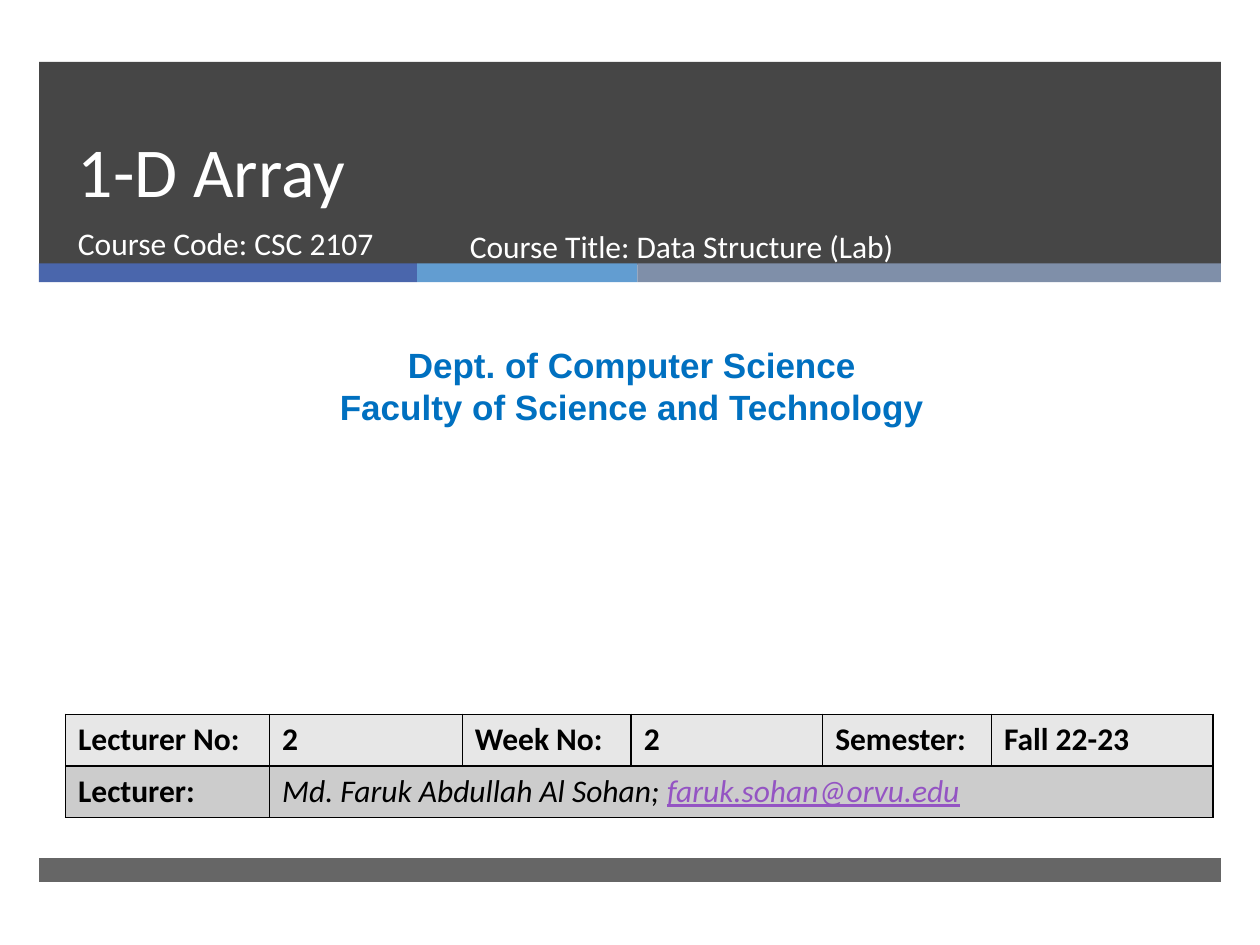
import pptx
import pptx.util
import pptx.dml.color
import pptx.enum.shapes
import pptx.enum.text
import pptx.oxml
import pptx.oxml.ns

Inches, Pt = pptx.util.Inches, pptx.util.Pt
ALIGN = pptx.enum.text.PP_ALIGN
ANCHOR = pptx.enum.text.MSO_ANCHOR

# Content
HUES = {"dark": "262626", "blue": "4A66AC", "sky": "629DD1", "slate": "7F8FA9",
        "white": "FFFFFF", "dept": "0070C0", "black": "000000",
        "light": "E7E7E7", "gray": "CCCCCC", "mail": "9454C3"}
LEFT, WIDE = 0.31, 9.38
BANDS = [(0.49, 1.61, 85), (6.81, 0.19, 70)]  # top, height, opacity
STRIPS = [(3, "blue"), (1.75, "sky"), (4.63, "slate")]
PLAIN = {"name": "Calibri", "size": Pt(18)}
TITLE = {"name": "Calibri", "size": Pt(40)}
DEPT = {"name": "Arial", "size": Pt(20), "bold": True}
BOLD = {**PLAIN, "bold": True}
SLANT = {**PLAIN, "italic": True}
TEXTS = [
    ((0.52, 0.54, 8.54, 1.19), ["1-D Array"], TITLE, "white",
     {"line_spacing": Pt(46)}, ANCHOR.BOTTOM),
    ((0.52, 1.73, 3.05, 0.53), ["Course Code: CSC 2107"], PLAIN, "white",
     {}, ANCHOR.TOP),
    ((0.08, 2.68, 9.87, 0.77),
     ["Dept. of Computer Science", "Faculty of Science and Technology"],
     DEPT, "dept", {"alignment": ALIGN.CENTER}, ANCHOR.TOP),
    ((3.63, 1.75, 4.55, 0.53), ["Course Title: Data Structure (Lab)"], PLAIN,
     "white", {}, ANCHOR.TOP),
]
COLS = [1.62, 1.53, 1.34, 1.52, 1.34, 1.76]
ROW = 0.41
HEADS = ["Lecturer No:", "2", "Week No:", "2", "Semester:", "Fall 22-23"]
ROWS = [
    ("light", [[(head, BOLD, "black")] for head in HEADS]),
    ("gray", [[("Lecturer:", BOLD, "black")],
              [("Md. Faruk Abdullah Al Sohan; ", SLANT, "black"),
               ("faruk.sohan@orvu.edu", {**SLANT, "underline": True}, "mail")]]),
]


def rgb(hue):
    return pptx.dml.color.RGBColor.from_string(HUES[hue])


def add_run(para, text, style, hue):
    run = para.add_run()
    run.text = text
    for key, value in style.items():
        setattr(run.font, key, value)
    run.font.color.rgb = rgb(hue)


def add_bar(box, hue, alpha=100):
    bar = slide.shapes.add_shape(pptx.enum.shapes.MSO_SHAPE.RECTANGLE,
                                 *map(Inches, box))
    bar.shadow.inherit = False
    bar.line.fill.background()
    bar.fill.solid()
    bar.fill.fore_color.rgb = rgb(hue)
    if alpha < 100:
        tone = bar.fill._xPr.find(".//" + pptx.oxml.ns.qn("a:srgbClr"))
        tone.append(pptx.oxml.parse_xml(
            f'<a:alpha {pptx.oxml.ns.nsdecls("a")} val="{alpha * 1000}"/>'))


def add_edges(cell):
    props = cell._tc.get_or_add_tcPr()
    for spot, side in enumerate(("lnL", "lnR", "lnT", "lnB")):
        props.insert(spot, pptx.oxml.parse_xml(
            f'<a:{side} {pptx.oxml.ns.nsdecls("a")} w="{Pt(1)}"><a:solidFill>'
            f'<a:srgbClr val="{HUES["black"]}"/></a:solidFill></a:{side}>'))


deck = pptx.Presentation()
deck.slide_width, deck.slide_height = Inches(10), Inches(7.5)
slide = deck.slides.add_slide(deck.slide_layouts[6])

# Header and footer bands, then the coloured strips
for top, high, alpha in BANDS:
    add_bar((LEFT, top, WIDE, high), "dark", alpha)
left = LEFT
for wide, hue in STRIPS:
    add_bar((left, 2.09, wide, 0.15), hue)
    left += wide

# Title, course and department texts
for box, lines, style, hue, layout, anchor in TEXTS:
    frame = slide.shapes.add_textbox(*map(Inches, box)).text_frame
    frame.word_wrap = True
    frame.vertical_anchor = anchor
    for spot, line in enumerate(lines):
        para = frame.add_paragraph() if spot else frame.paragraphs[0]
        for key, value in layout.items():
            setattr(para, key, value)
        add_run(para, line, style, hue)

# Lecture table
table = slide.shapes.add_table(
    len(ROWS), len(COLS), Inches(0.52), Inches(5.67),
    Inches(sum(COLS)), Inches(ROW * len(ROWS))).table
for col, wide in zip(table.columns, COLS):
    col.width = Inches(wide)
for row, (hue, cells) in enumerate(ROWS):
    table.rows[row].height = Inches(ROW)
    for cell in table.rows[row].cells:
        cell.fill.solid()
        cell.fill.fore_color.rgb = rgb(hue)
        add_edges(cell)
    for col, runs in enumerate(cells):
        for run in runs:
            add_run(table.cell(row, col).text_frame.paragraphs[0], *run)
table.cell(1, 1).merge(table.cell(1, len(COLS) - 1))

deck.save("out.pptx")
